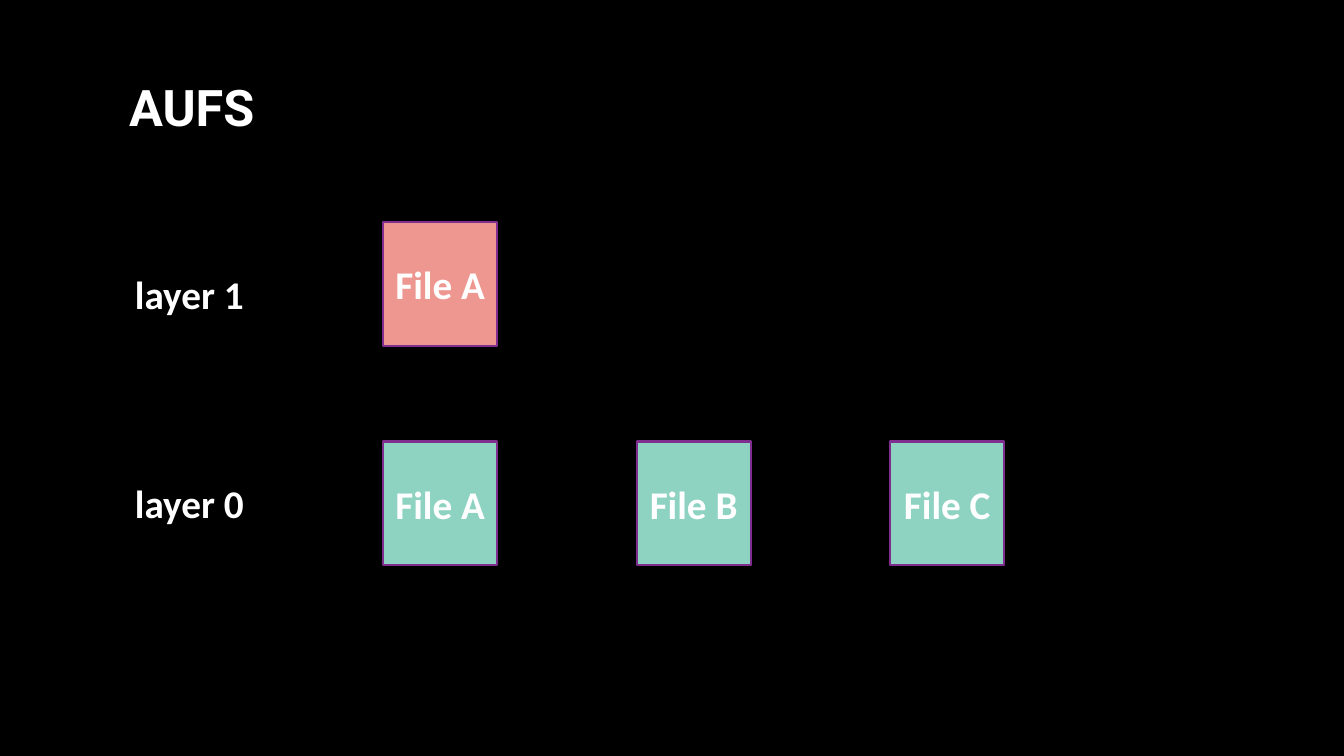
from pptx import Presentation
from pptx.dml.color import RGBColor
from pptx.enum.shapes import MSO_SHAPE
from pptx.enum.text import MSO_ANCHOR, MSO_AUTO_SIZE, PP_ALIGN
from pptx.util import Inches, Pt

BLACK = RGBColor(0x00, 0x00, 0x00)
WHITE = RGBColor(0xFF, 0xFF, 0xFF)
GREEN = RGBColor(0x8E, 0xD3, 0xC2)
CORAL = RGBColor(0xEE, 0x97, 0x91)
PURPLE = RGBColor(0x7F, 0x2E, 0x8F)

TITLE = "AUFS"
LAYERS = [
    ("layer 1", 2.63, 2.2, CORAL, ["File A"]),
    ("layer 0", 4.71, 4.38, GREEN, ["File A", "File B", "File C"]),
]
LEFT, STEP = 3.8, 2.515
WIDTH, HEIGHT = 1.13, 1.23


def write(shape, text, size=28, font="Calibri", align=PP_ALIGN.LEFT,
          anchor=MSO_ANCHOR.TOP, wrap=False, fit=MSO_AUTO_SIZE.SHAPE_TO_FIT_TEXT):
    frame = shape.text_frame
    frame.word_wrap = wrap
    frame.auto_size = fit
    frame.vertical_anchor = anchor
    line = frame.paragraphs[0]
    line.alignment = align
    run = line.add_run()
    run.text = text
    run.font.size = Pt(size)
    run.font.name = font
    run.font.bold = True
    run.font.color.rgb = WHITE


def main():
    deck = Presentation()
    deck.slide_width, deck.slide_height = Inches(13.33), Inches(7.5)
    slide = deck.slides.add_slide(deck.slide_layouts[5])
    slide.background.fill.solid()
    slide.background.fill.fore_color.rgb = BLACK

    title = slide.shapes.title
    title.left, title.top = Inches(1.18), Inches(0.7)
    title.width, title.height = Inches(1.53), Inches(0.71)
    write(title, TITLE, size=36, font="Roboto")

    for name, base, top, color, files in LAYERS:
        label = slide.shapes.add_textbox(
            Inches(1.24), Inches(base), Inches(1.29), Inches(0.57))
        write(label, name)
        for col, file in enumerate(files):
            box = slide.shapes.add_shape(
                MSO_SHAPE.RECTANGLE, Inches(LEFT + col * STEP), Inches(top),
                Inches(WIDTH), Inches(HEIGHT))
            box.shadow.inherit = False
            box.fill.solid()
            box.fill.fore_color.rgb = color
            box.line.color.rgb = PURPLE
            box.line.width = Pt(1.5)
            write(box, file, align=PP_ALIGN.CENTER, anchor=MSO_ANCHOR.MIDDLE,
                  wrap=True, fit=MSO_AUTO_SIZE.NONE)

    deck.save("out.pptx")


if __name__ == "__main__":
    main()
